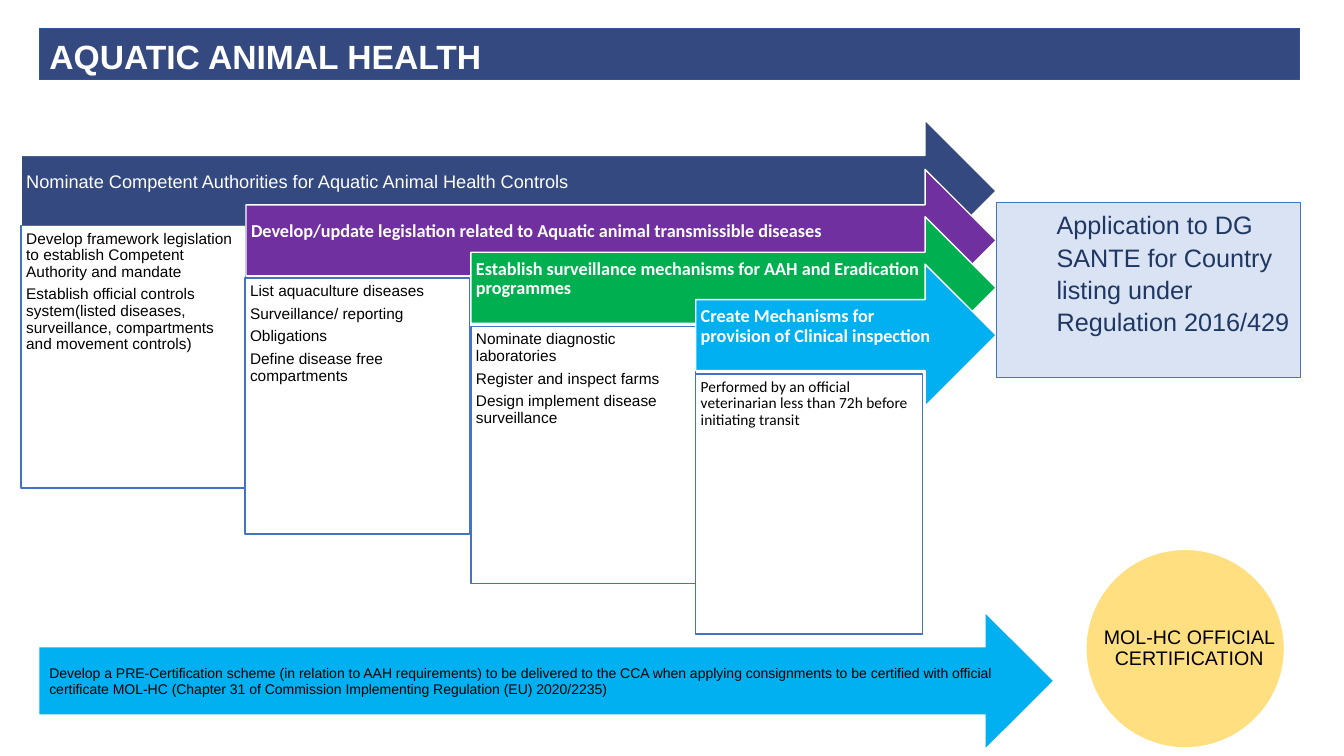
from dataclasses import dataclass

from lxml import etree
from pptx import Presentation
from pptx.dml.color import RGBColor
from pptx.enum.shapes import MSO_SHAPE
from pptx.enum.text import MSO_ANCHOR, MSO_AUTO_SIZE, PP_ALIGN
from pptx.oxml.ns import qn
from pptx.util import Inches, Pt

ARROW = MSO_SHAPE.RIGHT_ARROW
RECTANGLE = MSO_SHAPE.RECTANGLE
CIRCLE = MSO_SHAPE.OVAL
TOP, MIDDLE = MSO_ANCHOR.TOP, MSO_ANCHOR.MIDDLE
LEFT, CENTER = PP_ALIGN.LEFT, PP_ALIGN.CENTER
NO_AUTOFIT = MSO_AUTO_SIZE.NONE
TITLE_ONLY = 5


@dataclass(frozen=True)
class Theme:
    """Colours, fonts and type sizes of the slide."""
    navy: str = "34497F"
    navy_edge: str = "325491"
    purple: str = "7030A0"
    green: str = "00B050"
    sky: str = "00B0F0"
    blue: str = "4472C4"
    pale: str = "DAE3F3"
    ink: str = "1F3763"
    gold: str = "FFC000"
    white: str = "FFFFFF"
    black: str = "000000"
    sans: str = "Arial"
    body: str = "Calibri"
    title: int = 24
    goal: int = 18
    badge: int = 14
    step: int = 13
    detail: int = 11
    note: int = 10


THEME = Theme()
STEP_RIGHT = 9.88
STEP_HEIGHT = 1.41
STEP_MARGINS = (0.05, 0.05, 0.28, 0.22)
DETAIL_MARGINS = (0.05,) * 4
DEFAULT_MARGINS = (0.1, 0.05, 0.1, 0.05)

STEPS = [
    ("Nominate Competent Authorities for Aquatic Animal Health Controls",
     THEME.navy, THEME.sans, False, 0.21, 1.19,
     (0.21, 2.24, 2.23, 2.6), THEME.sans,
     ["Develop framework legislation to establish Competent Authority and mandate",
      "Establish official controls system(listed diseases, surveillance, "
      "compartments and movement controls)"]),
    ("Develop/update legislation related to Aquatic animal transmissible diseases",
     THEME.purple, THEME.body, True, 2.44, 1.68,
     (2.43, 2.76, 2.23, 2.54), THEME.sans,
     ["List aquaculture diseases", "Surveillance/ reporting", "Obligations",
      "Define disease free compartments"]),
    ("Establish surveillance mechanisms for AAH and Eradication programmes",
     THEME.green, THEME.body, True, 4.67, 2.15,
     (4.67, 3.24, 2.23, 2.55), THEME.sans,
     ["Nominate diagnostic laboratories", "Register and inspect farms",
      "Design implement disease surveillance"]),
    ("Create Mechanisms for provision of Clinical inspection",
     THEME.sky, THEME.body, True, 6.9, 2.62,
     (6.9, 3.71, 2.25, 2.58), THEME.body,
     ["Performed by an official veterinarian less than 72h before initiating transit"]),
]


def paint(shape, fill, line=None, weight=1):
    """Set the fill and outline of a shape."""
    shape.fill.solid()
    shape.fill.fore_color.rgb = RGBColor.from_string(fill)
    if line:
        shape.line.color.rgb = RGBColor.from_string(line)
        shape.line.width = Pt(weight)
    else:
        shape.line.fill.background()


def add_block(page, kind, at, fill, line=None, weight=1):
    """Add a flat preset shape."""
    shape = page.shapes.add_shape(kind, *map(Inches, at))
    shape.shadow.inherit = False
    paint(shape, fill, line, weight)
    return shape


def write(box, texts, size, color, font=THEME.sans, bold=False, anchor=TOP,
          margins=DEFAULT_MARGINS, align=LEFT, spacing=0.9, after=4.3):
    """Fill a box with uniformly formatted paragraphs."""
    frame = box.text_frame
    frame.word_wrap = True
    frame.auto_size = NO_AUTOFIT
    frame.vertical_anchor = anchor
    (frame.margin_left, frame.margin_top,
     frame.margin_right, frame.margin_bottom) = map(Inches, margins)
    for index, text in enumerate(texts):
        para = frame.add_paragraph() if index else frame.paragraphs[0]
        para.text = text
        para.alignment = align
        para.line_spacing = spacing
        para.space_before = Pt(0)
        para.space_after = Pt(after)
        para.font.name = font
        para.font.size = Pt(size)
        para.font.bold = bold
        para.font.color.rgb = RGBColor.from_string(color)


def add_title(page):
    """Format the title placeholder as a banner."""
    title = page.shapes.title
    title.left, title.top, title.width, title.height = map(
        Inches, (0.39, 0.28, 12.5, 0.51))
    paint(title, THEME.navy, THEME.navy_edge)
    write(title, ["AQUATIC ANIMAL HEALTH"], THEME.title, THEME.white,
          bold=True, spacing=1.07, after=0)


def add_step(page, heading, color, font, bold, left, top,
             detail_at, detail_font, details):
    """Add a step arrow and the detail panel below it."""
    arrow = add_block(page, ARROW, (left, top, STEP_RIGHT - left, STEP_HEIGHT),
                      color, THEME.white)
    write(arrow, [heading], THEME.step, THEME.white, font, bold, MIDDLE,
          STEP_MARGINS)
    panel = add_block(page, RECTANGLE, detail_at, THEME.white, THEME.blue)
    write(panel, details, THEME.detail, THEME.black, detail_font,
          margins=DETAIL_MARGINS)


def add_goal(page):
    """Add the panel the steps lead to."""
    goal = add_block(page, RECTANGLE, (9.88, 2.01, 3.02, 1.74),
                     THEME.pale, THEME.blue, 0.75)
    write(goal,
          ["Application to DG SANTE for Country listing under Regulation 2016/429"],
          THEME.goal, THEME.ink, margins=(0.6, 0.05, 0.1, 0.05),
          spacing=1.07, after=0)


def add_scheme(page):
    """Add the pre-certification arrow."""
    scheme = add_block(page, ARROW, (0.39, 6.09, 10.05, 1.33), THEME.sky)
    write(scheme,
          ["Develop a PRE-Certification scheme (in relation to AAH requirements) "
           "to be delivered to the CCA when applying consignments to be certified "
           "with official certificate MOL-HC (Chapter 31 of Commission "
           "Implementing Regulation (EU) 2020/2235)"],
          THEME.note, THEME.black, anchor=MIDDLE, spacing=1.0, after=0)


def add_badge(page):
    """Add the half-transparent certification circle and its label."""
    circle = add_block(page, CIRCLE, (10.77, 5.45, 1.97, 1.97),
                       THEME.gold, THEME.white)
    tint = circle.fill._xPr.find(qn("a:solidFill")).find(qn("a:srgbClr"))
    etree.SubElement(tint, qn("a:alpha")).set("val", "50000")
    label = page.shapes.add_textbox(*map(Inches, (10.92, 5.83, 1.75, 1.21)))
    write(label, ["MOL-HC OFFICIAL CERTIFICATION"], THEME.badge, THEME.black,
          anchor=MIDDLE, margins=(0.02,) * 4, align=CENTER)


def main():
    """Build and save the slide."""
    deck = Presentation()
    deck.slide_width, deck.slide_height = Inches(13.33), Inches(7.5)
    page = deck.slides.add_slide(deck.slide_layouts[TITLE_ONLY])
    add_title(page)
    for step in STEPS:
        add_step(page, *step)
    add_goal(page)
    add_scheme(page)
    add_badge(page)
    deck.save("out.pptx")


if __name__ == "__main__":
    main()
